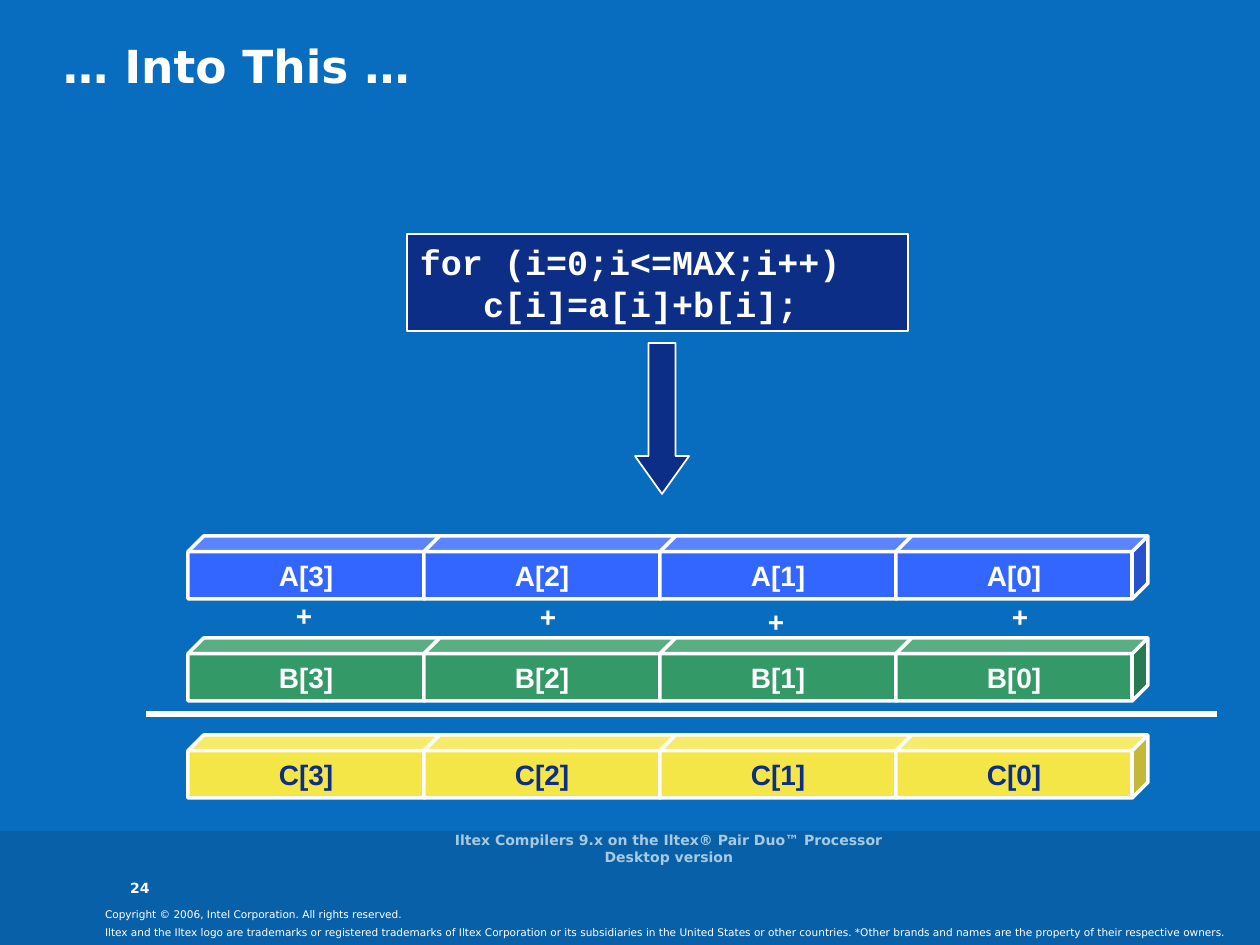
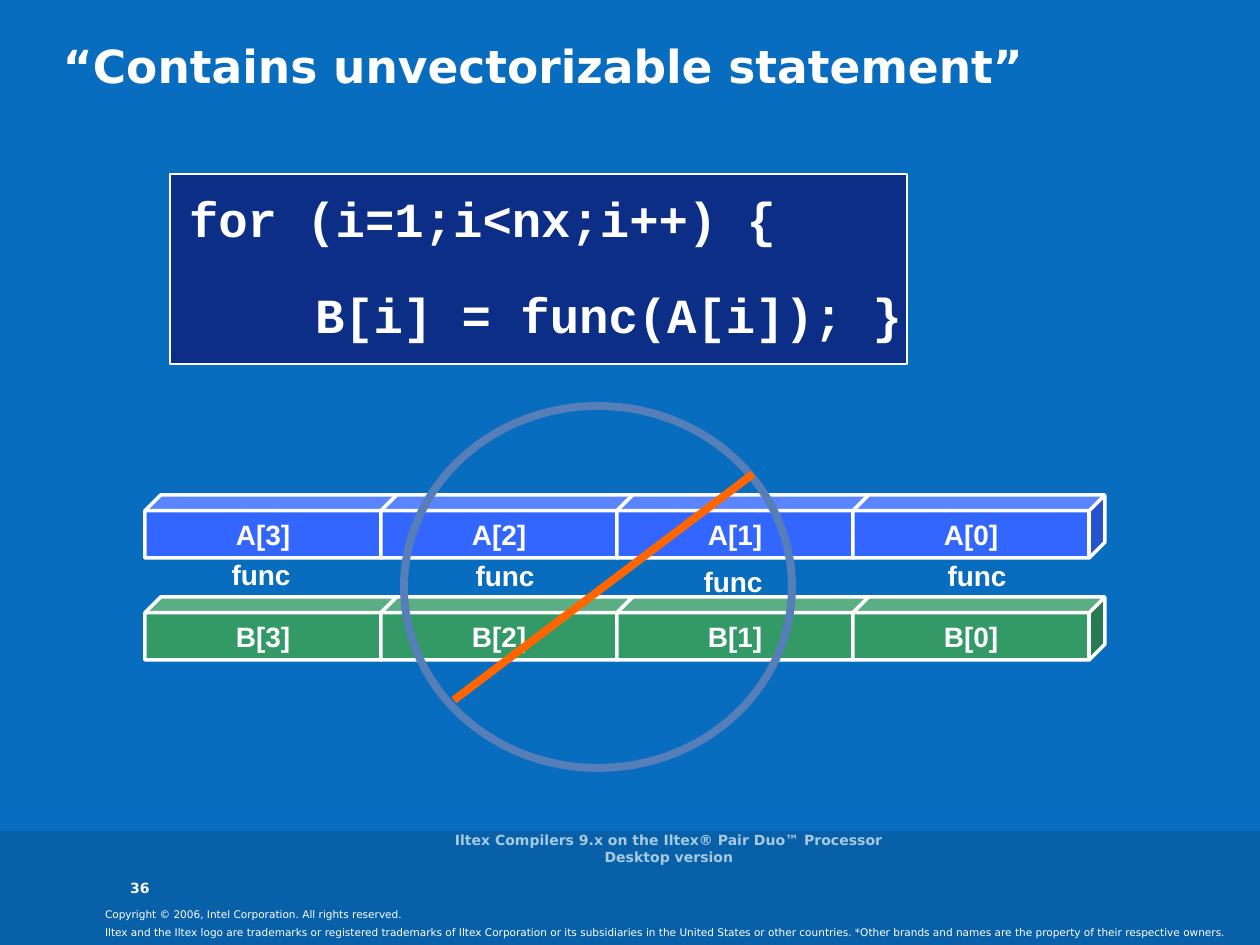
"""Build two slides that show how a loop is turned into packed vector operations."""
from lxml import etree
from pptx import Presentation
from pptx import util as u
from pptx.dml.color import RGBColor
from pptx.enum import shapes, text

PX = 914400 / 126
COLORS = {
    "ground": "096DBF", "band": "0860A8", "navy": "0C2E86", "white": "FFFFFF",
    "blue": "3366FF", "green": "339966", "yellow": "F5E647",
    "footer": "A6CAE1", "ring": "567EB9", "slash": "FF6600",
}
LEFT, CENTER = text.PP_ALIGN.LEFT, text.PP_ALIGN.CENTER
TOP, MIDDLE, BOTTOM = text.MSO_ANCHOR.TOP, text.MSO_ANCHOR.MIDDLE, text.MSO_ANCHOR.BOTTOM
FORMATS = {
    "title": {"name": "DejaVu Sans", "size": 26, "bold": True},
    "legal": {"name": "DejaVu Sans", "size": 6, "bold": False},
    "small": {"name": "DejaVu Sans", "size": 8, "bold": True},
    "label": {"name": "Arial", "size": 16, "bold": True},
    "loop": {"name": "Courier New", "size": 20, "bold": True},
    "big loop": {"name": "Courier New", "size": 28, "bold": True},
}

FOOTER = "Iltex Compilers 9.x on the Iltex® Pair Duo™ Processor Desktop version"
LEGAL = [
    (902, "Copyright © 2006, Intel Corporation. All rights reserved."),
    (920, "Iltex and the Iltex logo are trademarks or registered trademarks of Iltex "
          "Corporation or its subsidiaries in the United States or other countries. "
          "*Other brands and names are the property of their respective owners."),
]
INTO_THIS = {
    "title": "… Into This …", "number": "24",
    "loop": ["for (i=0;i<=MAX;i++)", "   c[i]=a[i]+b[i];"],
    "panel": (407, 234, 501, 97), "inset": (13, 6), "format": "loop",
    "indent": 0, "gap": 0,
    "origin": (188, 536), "operator": "+",
    "registers": [("A", 0, "blue", "white"), ("B", 102, "green", "white"),
                  ("C", 199, "yellow", "navy")],
}
UNVECTORIZABLE = {
    "title": "“Contains unvectorizable statement”", "number": "36",
    "loop": ["for (i=1;i<nx;i++) {", "B[i] = func(A[i]); }"],
    "panel": (170, 174, 737, 190), "inset": (19, 15), "format": "big loop",
    "indent": 126, "gap": 21,
    "origin": (145, 495), "operator": "func",
    "registers": [("A", 0, "blue", "white"), ("B", 102, "green", "white")],
}
LANES = 4
LANE_STEP, CUBE_WIDTH, CUBE_HEIGHT = 236, 252, 63
OPERATOR_SPOTS = [(116, 57), (360, 58), (588, 63), (832, 58)]
OPERATOR_WIDTH, OPERATOR_HEIGHT = 84, 46


def px(*lengths):
    return [round(length * PX) for length in lengths]


def rgb(color):
    return RGBColor.from_string(COLORS[color])


def write(shape, lines, style, color="white", align=LEFT, anchor=TOP,
          inset=(0, 0), wrap=True, indent=0, gap=0):
    frame = shape.text_frame
    across, down = px(*inset)
    settings = {"margin_left": across, "margin_right": across, "margin_top": down,
                "margin_bottom": down, "vertical_anchor": anchor, "word_wrap": wrap}
    for key, value in settings.items():
        setattr(frame, key, value)
    for index, line in enumerate(lines):
        paragraph = frame.paragraphs[0] if index == 0 else frame.add_paragraph()
        paragraph.alignment = align
        if index and gap:
            paragraph.space_before = u.Pt(gap)
        if index and indent:
            paragraph._p.get_or_add_pPr().set("marL", str(px(indent)[0]))
        run = paragraph.add_run()
        run.text = line
        for key, value in FORMATS[style].items():
            setattr(run.font, key, u.Pt(value) if key == "size" else value)
        run.font.color.rgb = rgb(color)


def add_text(slide, box, content, style, **layout):
    write(slide.shapes.add_textbox(*px(*box)), [content], style, **layout)


def add_block(slide, preset, box, fill=None, line=None, width=1):
    block = slide.shapes.add_shape(preset, *px(*box))
    block.shadow.inherit = False
    if fill:
        block.fill.solid()
        block.fill.fore_color.rgb = rgb(fill)
    else:
        block.fill.background()
    if line:
        block.line.color.rgb = rgb(line)
        block.line.width = u.Pt(width)
    else:
        block.line.fill.background()
    return block


def add_rule(slide, ends, color, width):
    rule = slide.shapes.add_connector(shapes.MSO_CONNECTOR.STRAIGHT, *px(*ends))
    rule.line.color.rgb = rgb(color)
    rule.line.width = u.Pt(width)
    namespace = "http://schemas.openxmlformats.org/drawingml/2006/main"
    etree.SubElement(rule._element.spPr, f"{{{namespace}}}effectLst")


def add_frame(slide, topic):
    add_block(slide, shapes.MSO_SHAPE.RECTANGLE, (0, 831, 1260, 114), "band")
    for top, notice in LEGAL:
        add_text(slide, (92, top, 1168, 25), notice, "legal", inset=(13, 6), wrap=False)
    add_text(slide, (63, 38, 1135, 122), topic["title"], "title")
    add_text(slide, (429, 827, 480, 42), FOOTER, "small", color="footer",
             align=CENTER, anchor=MIDDLE)
    add_text(slide, (130, 854, 57, 42), topic["number"], "small", anchor=BOTTOM)


def add_loop(slide, topic):
    panel = add_block(slide, shapes.MSO_SHAPE.RECTANGLE, topic["panel"], "navy", "white", 0.75)
    write(panel, topic["loop"], topic["format"], inset=topic["inset"], wrap=False,
          indent=topic["indent"], gap=topic["gap"])


def add_registers(slide, topic):
    left, top = topic["origin"]
    for array, drop, fill, ink in topic["registers"]:
        for lane in range(LANES):
            box = (left + lane * LANE_STEP, top + drop, CUBE_WIDTH, CUBE_HEIGHT)
            cube = add_block(slide, shapes.MSO_SHAPE.CUBE, box, fill, "white", 2)
            write(cube, [f"{array}[{LANES - 1 - lane}]"], "label", ink, CENTER, MIDDLE,
                  inset=(13, 6), wrap=False)
    for center, drop in OPERATOR_SPOTS:
        box = (left + center - OPERATOR_WIDTH // 2, top + drop, OPERATOR_WIDTH, OPERATOR_HEIGHT)
        add_text(slide, box, topic["operator"], "label", align=CENTER, inset=(0, 6))


def add_topic(deck, topic):
    slide = deck.slides.add_slide(deck.slide_layouts[6])
    add_frame(slide, topic)
    add_loop(slide, topic)
    add_registers(slide, topic)
    return slide


def main():
    deck = Presentation()
    deck.slide_width, deck.slide_height = px(1260, 945)
    ground = deck.slide_master.background.fill
    ground.solid()
    ground.fore_color.rgb = rgb("ground")

    into_this = add_topic(deck, INTO_THIS)
    add_rule(into_this, (146, 714, 1217, 714), "white", 3)
    arrow = add_block(into_this, shapes.MSO_SHAPE.DOWN_ARROW, (635, 343, 54, 151),
                      "navy", "white", 1)
    arrow.adjustments[1] = 0.7

    unvectorizable = add_topic(deck, UNVECTORIZABLE)
    add_block(unvectorizable, shapes.MSO_SHAPE.OVAL, (404, 406, 388, 362), line="ring", width=4.5)
    add_rule(unvectorizable, (454, 700, 753, 474), "slash", 4.5)

    deck.save("out.pptx")


if __name__ == "__main__":
    main()
